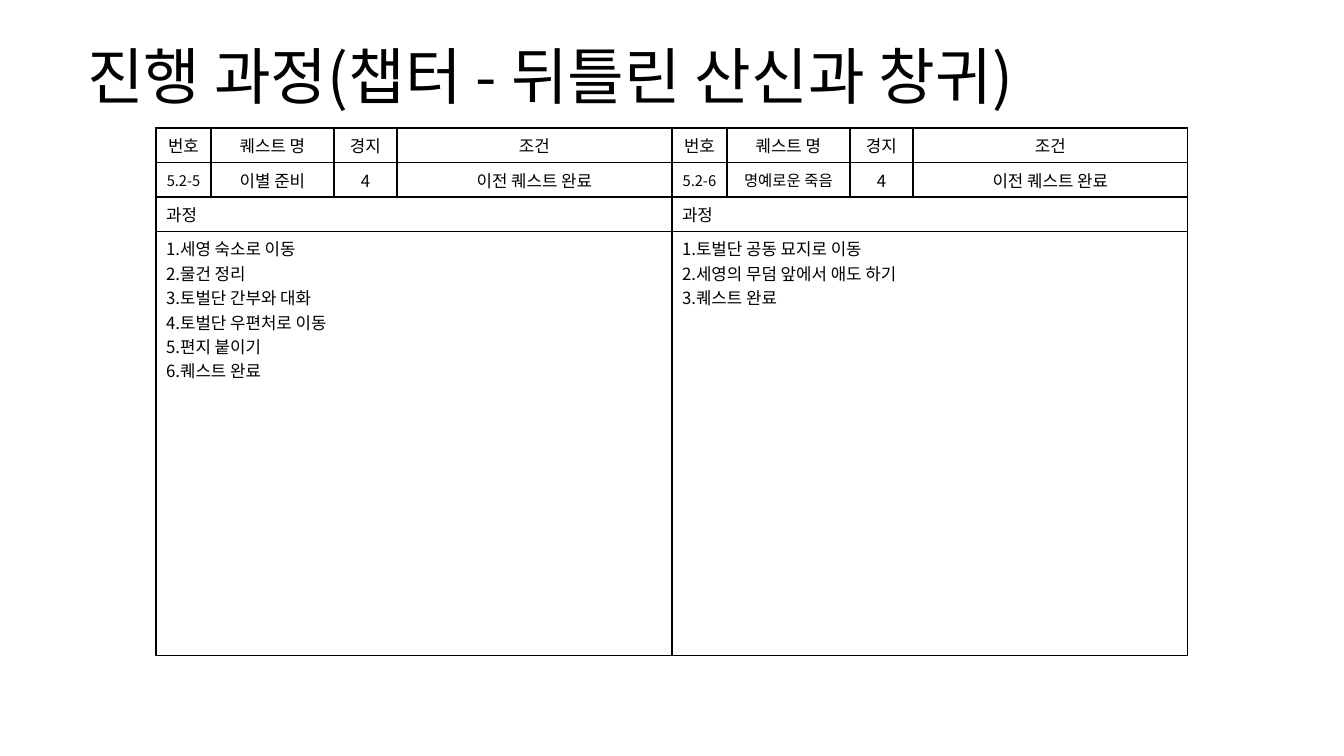
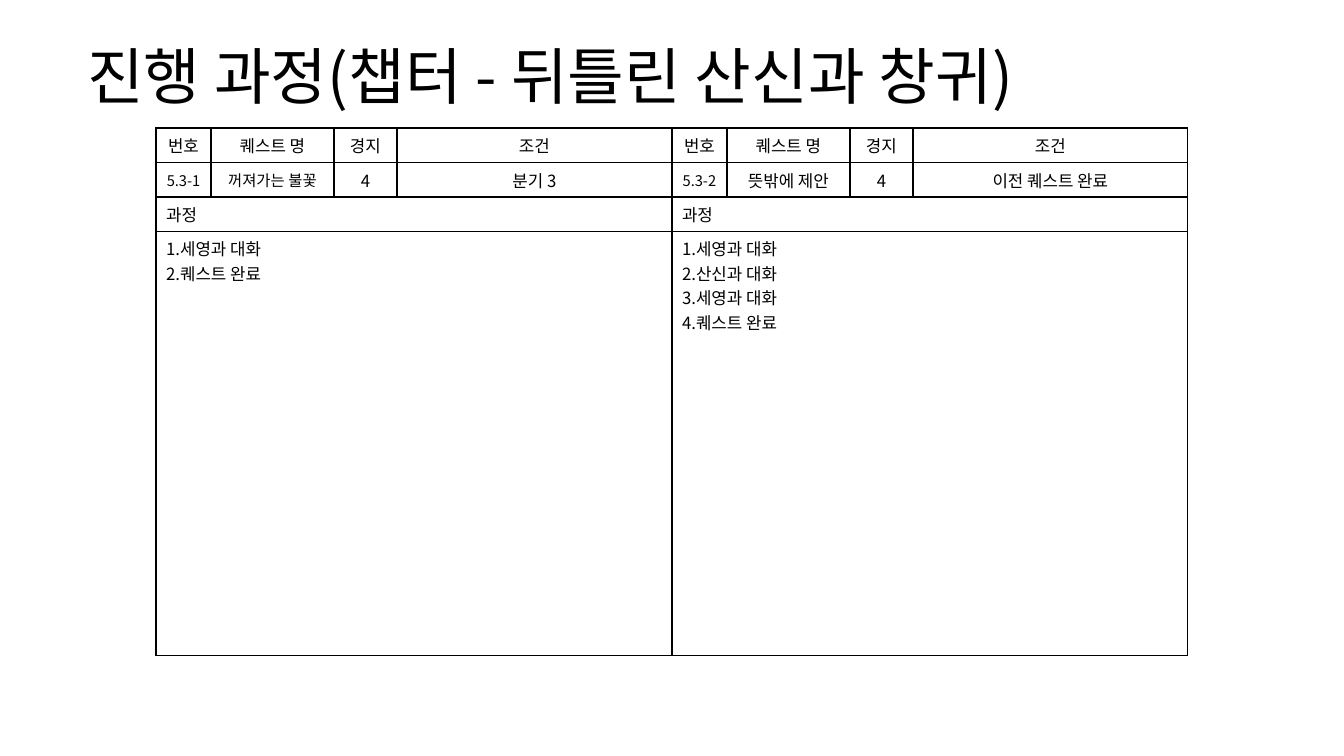
from lxml.etree import SubElement
from pptx import Presentation
from pptx.dml.color import RGBColor
from pptx.enum.text import MSO_ANCHOR, MSO_AUTO_SIZE, PP_ALIGN
from pptx.oxml.ns import qn
from pptx.util import Emu, Pt

FONT = "Noto Sans CJK KR"
INK = {"text": "000000", "line": "000000"}
TITLE = "진행 과정(챕터 - 뒤틀린 산신과 창귀)"
HEADS = ["번호", "퀘스트 명", "경지", "조건"]
COLS = [55, 123, 63, 275]
ROWS = [34, 34, 34, 424]
LEFT, TOP = 156, 128
PRIOR = "이전 퀘스트 완료"
DONE = "퀘스트 완료"
PAGES = [
    [
        (["5.2-5", "이별 준비", "4", PRIOR], 12,
         ["세영 숙소로 이동", "물건 정리", "토벌단 간부와 대화",
          "토벌단 우편처로 이동", "편지 붙이기", DONE]),
        (["5.2-6", "명예로운 죽음", "4", PRIOR], 11,
         ["토벌단 공동 묘지로 이동", "세영의 무덤 앞에서 애도 하기", DONE]),
    ],
    [
        (["5.3-1", "꺼져가는 불꽃", "4", "분기 3"], 11,
         ["세영과 대화", DONE]),
        (["5.3-2", "뜻밖에 제안", "4", PRIOR], 12,
         ["세영과 대화", "산신과 대화", "세영과 대화", DONE]),
    ],
]


def px(num):
    """Turn pixels into EMU."""
    return Emu(round(num * 914400 / 100.8))


def put(frame, text, size=12, align=PP_ALIGN.LEFT, lead=None):
    """Write each line of text as a formatted paragraph."""
    for i, line in enumerate(text.split("\n")):
        para = frame.add_paragraph() if i else frame.paragraphs[0]
        para.alignment = align
        if lead:
            para.line_spacing = lead
        run = para.add_run()
        run.text = line
        run.font.size = Pt(size)
        run.font.name = FONT
        run.font.bold = False
        run.font.color.rgb = RGBColor.from_string(INK["text"])
        SubElement(run.font._element, qn("a:ea"), typeface=FONT)


def frame_cell(cell):
    """Give a cell thin borders and no fill."""
    props = cell._tc.get_or_add_tcPr()
    for side in ("lnL", "lnR", "lnT", "lnB"):
        line = SubElement(props, qn(f"a:{side}"), w=str(Pt(1)))
        fill = SubElement(line, qn("a:solidFill"))
        SubElement(fill, qn("a:srgbClr"), val=INK["line"])
    cell.fill.background()


def add_title(slide):
    """Place and format the slide title."""
    title = slide.shapes.title
    title.left, title.top = px(77), px(32)
    title.width, title.height = px(1190), px(95)
    frame = title.text_frame
    frame.auto_size = MSO_AUTO_SIZE.NONE
    frame.word_wrap = True
    frame.vertical_anchor = MSO_ANCHOR.MIDDLE
    put(frame, TITLE, size=44, lead=0.9)


def add_quest(slide, left, facts, size, steps):
    """Add the table of one quest and its steps."""
    table = slide.shapes.add_table(
        len(ROWS), len(COLS), px(left), px(TOP),
        px(sum(COLS)), px(sum(ROWS))).table
    table.first_row = table.horz_banding = False
    for col, width in zip(table.columns, COLS):
        col.width = px(width)
    for row, height in zip(table.rows, ROWS):
        row.height = px(height)
    for cell in table.iter_cells():
        frame_cell(cell)
    sizes = [[12] * 4, [10.5, size, 12, 12]]
    for r, texts in enumerate([HEADS, facts]):
        for c, text in enumerate(texts):
            put(table.cell(r, c).text_frame, text,
                size=sizes[r][c], align=PP_ALIGN.CENTER)
            table.cell(r, c).vertical_anchor = MSO_ANCHOR.MIDDLE
    plan = "\n".join(f"{n}.{step}" for n, step in enumerate(steps, 1))
    for r, text in enumerate(["과정", plan], 2):
        table.cell(r, 0).merge(table.cell(r, len(COLS) - 1))
        put(table.cell(r, 0).text_frame, text)


def main():
    """Build and save the deck."""
    deck = Presentation()
    deck.slide_width, deck.slide_height = px(1344), px(756)
    for quests in PAGES:
        slide = deck.slides.add_slide(deck.slide_layouts[5])
        add_title(slide)
        for i, quest in enumerate(quests):
            add_quest(slide, LEFT + i * sum(COLS), *quest)
    deck.save("out.pptx")


if __name__ == "__main__":
    main()
